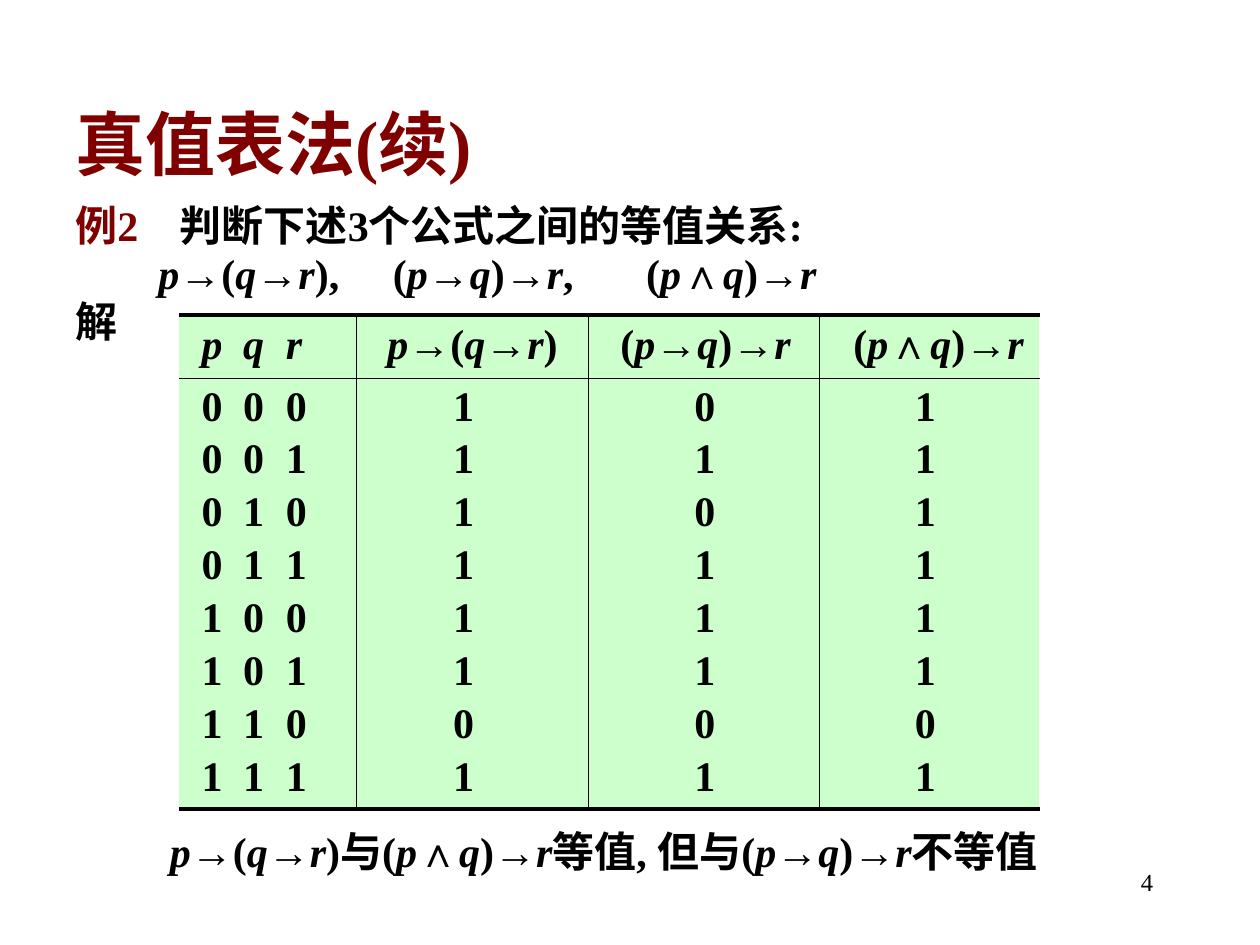
from itertools import accumulate, groupby

from lxml import etree
from pptx import Presentation
from pptx.dml.color import RGBColor
from pptx.enum import shapes, text
from pptx.oxml.ns import qn
from pptx.util import Inches, Pt

# Content
TITLE = "真值表法(续)"
NESTED, LEFT, JOINED = "p→(q→r)", "(p→q)→r", "(p∧q)→r"
LABEL, QUESTION, ANSWER = "例2", "判断下述3个公式之间的等值关系:", "解"
CONCLUSION = f"{NESTED}与{JOINED}等值, 但与{LEFT}不等值"
HEADER = ["p", "q", "r", NESTED, LEFT, JOINED]
ROWS = ["000101", "001111", "010101", "011111",
        "100111", "101111", "110000", "111111"]
PAGE = "4"

THEME = {
    "font": "Times New Roman", "symbol": "Arial",
    "accent": RGBColor(0x80, 0, 0), "ink": RGBColor(0, 0, 0),
    "table": RGBColor(0xCC, 0xFF, 0xCC),
    "title": Pt(40), "body": Pt(24), "page": Pt(14),
    "thin": Pt(0.5), "thick": Pt(2.25),
}

# Layout in inches
TABLE_X, TABLE_Y = 1.42, 2.5
COL_WIDTHS = [0.33, 0.34, 0.74, 1.84, 1.83, 1.75]
VARIABLES = 3
ROW_H, ROW_PAD = 0.42, 0.04
ROW_HEIGHTS = [0.52] + [ROW_H] * (len(ROWS) - 1) + [ROW_H + ROW_PAD]
HEADER_LINE_Y = 3
# Left minus right margin of each formula column
HEADER_SHIFTS = [0, 0.03, 0.15]
VALUE_SHIFTS = [-0.14, 0.02, -0.06]
NO_STYLE = "{2D5ABB26-0587-4C30-8999-92F81FD0307C}"


def style(p, size, color=THEME["ink"], bold=True):
    p.font.name = THEME["font"]
    p.font.size, p.font.bold, p.font.color.rgb = size, bold, color


def char_kind(c):
    return "variable" if c in "pqr" else "symbol" if c in "→∧" else "plain"


def add_math(p, content):
    """Set variables in italics and logic symbols in the symbol font."""
    for kind, chars in groupby(content, char_kind):
        r = p.add_run()
        r.text = "".join(chars)
        if kind == "variable":
            r.font.italic = True
        elif kind == "symbol":
            r.font.name = THEME["symbol"]


def add_box(slide, x, y, w, h):
    tf = slide.shapes.add_textbox(*map(Inches, (x, y, w, h))).text_frame
    tf.word_wrap = True
    return tf


def set_tabs(p, stops):
    tabs = etree.SubElement(p._p.get_or_add_pPr(), qn("a:tabLst"))
    for stop in stops:
        etree.SubElement(tabs, qn("a:tab"), pos=str(Inches(stop)), algn="l")


def add_rule(slide, x1, y1, x2, y2, width):
    line = slide.shapes.add_connector(
        shapes.MSO_CONNECTOR.STRAIGHT, *map(Inches, (x1, y1, x2, y2)))
    line.line.color.rgb, line.line.width = THEME["ink"], width
    etree.SubElement(line._element.spPr, qn("a:effectLst"))


def add_truth_table(slide):
    lines = [HEADER] + ROWS
    width, height = sum(COL_WIDTHS), sum(ROW_HEIGHTS)
    table = slide.shapes.add_table(
        len(lines), len(HEADER),
        *map(Inches, (TABLE_X, TABLE_Y, width, height))).table
    table.first_row = table.horz_banding = False
    table._tbl.tblPr.find(qn("a:tableStyleId")).text = NO_STYLE
    for col, col_width in zip(table.columns, COL_WIDTHS):
        col.width = Inches(col_width)
    for i, values in enumerate(lines):
        table.rows[i].height = Inches(ROW_HEIGHTS[i])
        shifts = VALUE_SHIFTS if i else HEADER_SHIFTS
        for j, value in enumerate(values):
            cell = table.cell(i, j)
            cell.fill.solid()
            cell.fill.fore_color.rgb = THEME["table"]
            cell.vertical_anchor = text.MSO_ANCHOR.MIDDLE
            cell.margin_top = 0
            cell.margin_bottom = Inches(ROW_PAD if i in (0, len(ROWS)) else 0)
            p = cell.text_frame.paragraphs[0]
            if j < VARIABLES:
                shift, p.alignment = 0.18, text.PP_ALIGN.LEFT
            else:
                shift, p.alignment = shifts[j - VARIABLES], text.PP_ALIGN.CENTER
            cell.margin_left = Inches(max(shift, 0))
            cell.margin_right = Inches(max(-shift, 0))
            style(p, THEME["body"])
            add_math(p, value)

    # Rules across and between the columns
    right, bottom = TABLE_X + width, TABLE_Y + height
    for y, weight in [(HEADER_LINE_Y, "thin"), (TABLE_Y, "thick"),
                      (bottom, "thick")]:
        add_rule(slide, TABLE_X, y, right, y, THEME[weight])
    edges = list(accumulate(COL_WIDTHS, initial=TABLE_X))
    for x in edges[VARIABLES:-1]:
        add_rule(slide, x, TABLE_Y, x, bottom, THEME["thin"])


def main():
    prs = Presentation()
    prs.slide_width, prs.slide_height = Inches(10), Inches(7.5)
    slide = prs.slides.add_slide(prs.slide_layouts[5])

    # Title
    title = slide.shapes.title
    title.left, title.top, title.width, title.height = map(
        Inches, (0.5, 0.67, 8.5, 0.92))
    tf = title.text_frame
    tf.text = TITLE
    tf.auto_size = text.MSO_AUTO_SIZE.NONE
    tf.vertical_anchor = text.MSO_ANCHOR.MIDDLE
    p = tf.paragraphs[0]
    p.alignment = text.PP_ALIGN.LEFT
    style(p, THEME["title"], THEME["accent"])

    # Problem statement
    tf = add_box(slide, 0.5, 1.58, 8.5, 1.33)
    statement = [
        (f"{LABEL}\t{QUESTION}", [0.83]),
        (f"\t{NESTED},\t{LEFT},\t{JOINED}", [0.66, 2.52, 4.53]),
        (ANSWER, []),
    ]
    for i, (content, stops) in enumerate(statement):
        p = tf.add_paragraph() if i else tf.paragraphs[0]
        p.line_spacing, p.space_before = 0.9, Pt(1.5)
        if stops:
            set_tabs(p, stops)
        style(p, THEME["body"])
        if content.startswith(LABEL):
            r = p.add_run()
            r.text = LABEL
            r.font.color.rgb = THEME["accent"]
            content = content[len(LABEL):]
        add_math(p, content)

    add_truth_table(slide)

    # Conclusion
    p = add_box(slide, 1.25, 6.5, 7.58, 0.5).paragraphs[0]
    style(p, THEME["body"])
    add_math(p, CONCLUSION)

    # Page number
    p = add_box(slide, 7.17, 6.83, 2.08, 0.5).paragraphs[0]
    p.text = PAGE
    p.alignment = text.PP_ALIGN.RIGHT
    style(p, THEME["page"], bold=False)

    prs.save("out.pptx")


if __name__ == "__main__":
    main()
